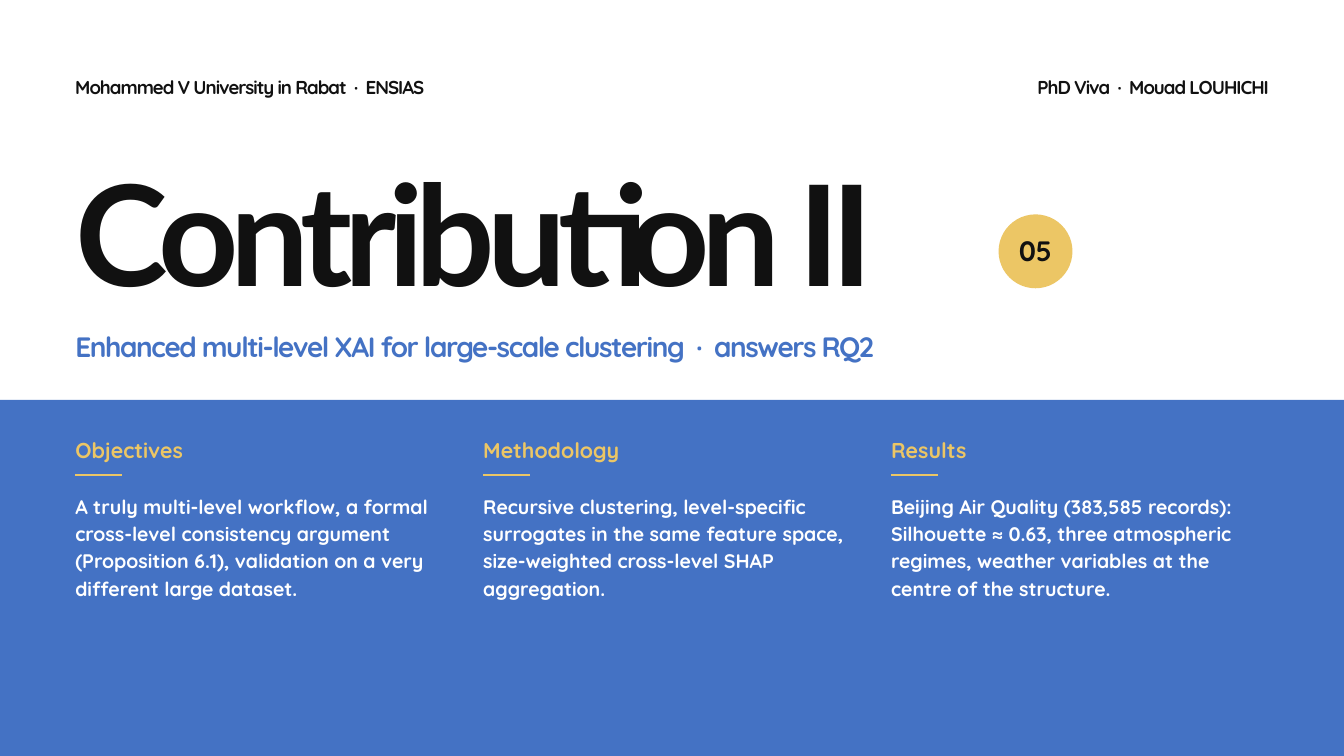
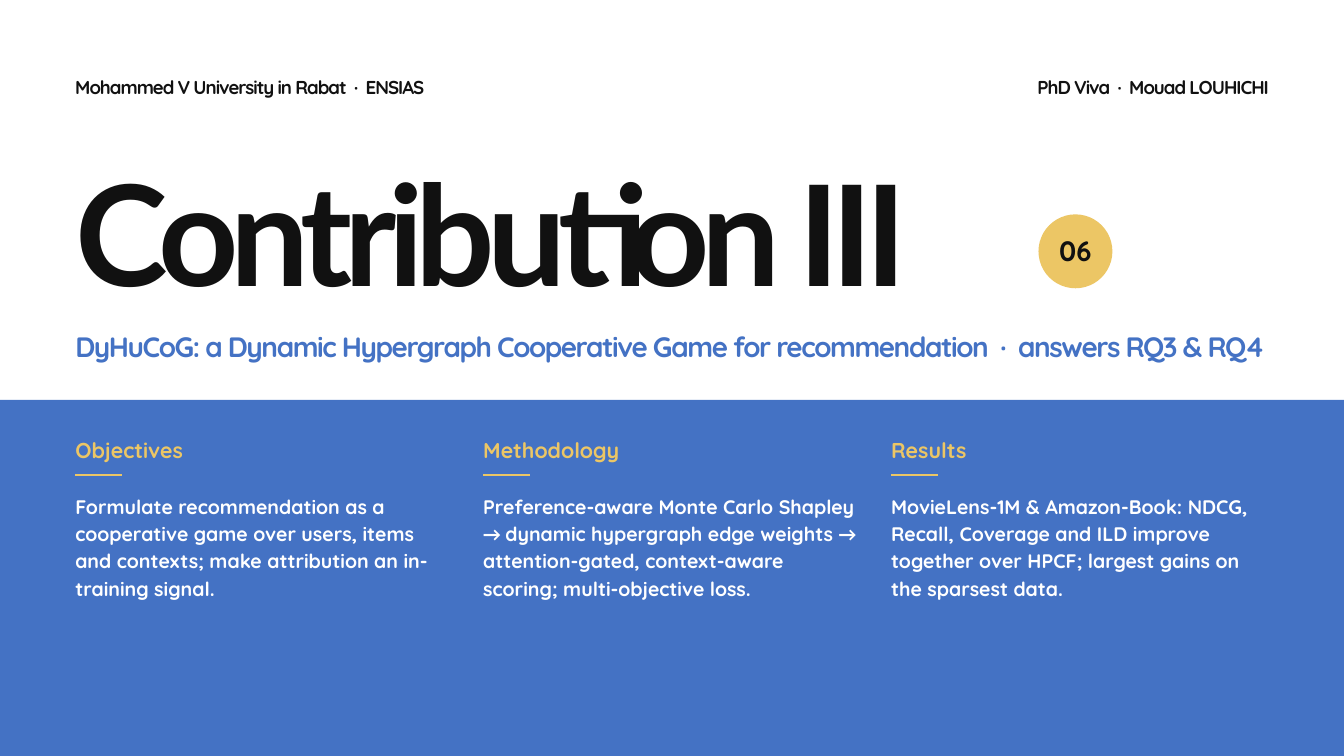
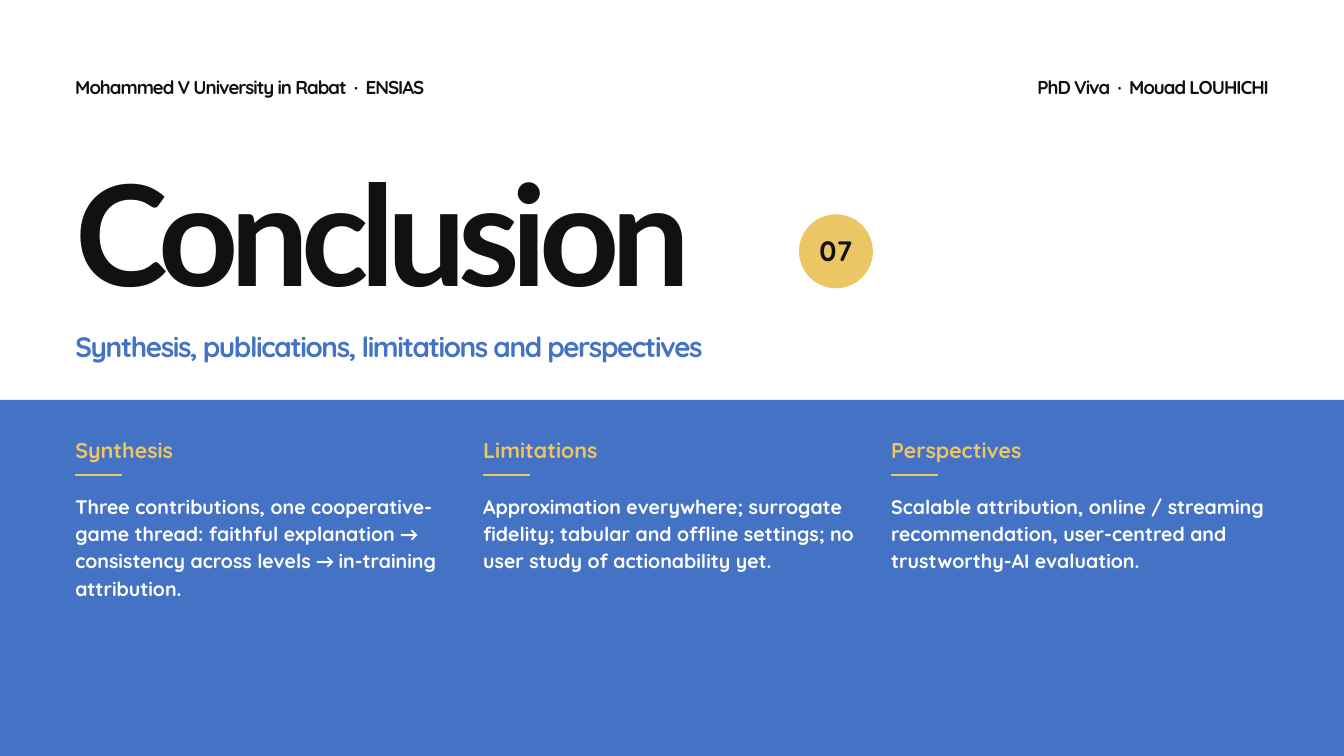
"""Build three section divider slides for a PhD viva."""
from pptx import Presentation
from pptx.dml.color import RGBColor
from pptx.enum.shapes import MSO_CONNECTOR, MSO_SHAPE
from pptx.enum.text import MSO_ANCHOR, PP_ALIGN
from pptx.oxml.ns import qn
from pptx.util import Inches, Pt
from lxml import etree

INK, BLUE, GOLD, WHITE = "111111", "4472C4", "ECC665", "FFFFFF"
BODY_FONT, TITLE_FONT, ARROW_FONT = "Quicksand", "Lato", "Calibri"
SLIDE_W, SLIDE_H = 20, 11.25
LEFT, RIGHT = 1.12, 18.88
BAND_TOP = 5.95
COLUMN_W, COLUMN_PITCH = 5.62, 6.07
ARROW = "→ "

SECTIONS = [
    ("05", "Contribution II",
     "Enhanced multi-level XAI for large-scale clustering  ·  answers RQ2",
     [("Objectives",
       "A truly multi-level workflow, a formal cross-level consistency argument "
       "(Proposition 6.1), validation on a very different large dataset."),
      ("Methodology",
       "Recursive clustering, level-specific surrogates in the same feature space, "
       "size-weighted cross-level SHAP aggregation."),
      ("Results",
       "Beijing Air Quality (383,585 records): Silhouette ≈ 0.63, three atmospheric "
       "regimes, weather variables at the centre of the structure.")]),
    ("06", "Contribution III",
     "DyHuCoG: a Dynamic Hypergraph Cooperative Game for recommendation  ·  answers RQ3 & RQ4",
     [("Objectives",
       "Formulate recommendation as a cooperative game over users, items and contexts; "
       "make attribution an in-training signal."),
      ("Methodology",
       "Preference-aware Monte Carlo Shapley → dynamic hypergraph edge weights → "
       "attention-gated, context-aware scoring; multi-objective loss."),
      ("Results",
       "MovieLens-1M & Amazon-Book: NDCG, Recall, Coverage and ILD improve together "
       "over HPCF; largest gains on the sparsest data.")]),
    ("07", "Conclusion",
     "Synthesis, publications, limitations and perspectives",
     [("Synthesis",
       "Three contributions, one cooperative-game thread: faithful explanation → "
       "consistency across levels → in-training attribution."),
      ("Limitations",
       "Approximation everywhere; surrogate fidelity; tabular and offline settings; "
       "no user study of actionability yet."),
      ("Perspectives",
       "Scalable attribution, online / streaming recommendation, user-centred and "
       "trustworthy-AI evaluation.")]),
]


def rgb(value):
    """Return the colour for a hex string."""
    return RGBColor.from_string(value)


def write_text(sp, text, size, color, leading, font=BODY_FONT, spacing=0,
               align=PP_ALIGN.LEFT, anchor=MSO_ANCHOR.TOP):
    """Fill a shape with one bold paragraph, setting arrows in their own font."""
    tf = sp.text_frame
    tf.word_wrap = True
    tf.vertical_anchor = anchor
    tf.margin_left = tf.margin_right = tf.margin_top = tf.margin_bottom = 0
    p = tf.paragraphs[0]
    p.alignment = align
    p.line_spacing = Pt(leading)
    p.font.name = font
    p.font.size = Pt(size)
    p.font.bold = True
    p.font.color.rgb = rgb(color)
    if spacing:
        p._p.pPr.find(qn("a:defRPr")).set("spc", str(round(spacing * 100)))
    for i, part in enumerate(text.split(ARROW)):
        if i:
            r = p.add_run()
            r.text = ARROW
            r.font.name = ARROW_FONT
        p.add_run().text = part


def add_text(s, x, y, w, h, text, size, color, leading, **style):
    """Add a text box."""
    sp = s.shapes.add_textbox(Inches(x), Inches(y), Inches(w), Inches(h))
    write_text(sp, text, size, color, leading, **style)


def add_block(s, kind, x, y, w, h, color):
    """Add a plain filled shape."""
    sp = s.shapes.add_shape(kind, Inches(x), Inches(y), Inches(w), Inches(h))
    sp.shadow.inherit = False
    sp.fill.solid()
    sp.fill.fore_color.rgb = rgb(color)
    sp.line.fill.background()
    return sp


def add_rule(s, x, y, w):
    """Add a short gold rule."""
    line = s.shapes.add_connector(MSO_CONNECTOR.STRAIGHT, Inches(x), Inches(y),
                                  Inches(x + w), Inches(y))
    line.line.color.rgb = rgb(GOLD)
    line.line.width = Pt(2.5)
    etree.SubElement(line._element.spPr, qn("a:effectLst"))


def add_header(s):
    """Add the university and the candidate at the top."""
    add_text(s, LEFT, 1.08, 8, 0.4, "Mohammed V University in Rabat  ·  ENSIAS",
             20, INK, 28, spacing=-1.1)
    add_text(s, RIGHT - 8, 1.08, 8, 0.4, "PhD Viva  ·  Mouad LOUHICHI",
             20, INK, 28, spacing=-1.1, align=PP_ALIGN.RIGHT)


def add_title(s, number, title, subtitle):
    """Add the title, a number badge placed by title length, and the subtitle."""
    add_text(s, LEFT, 2.55, 16.25, 2.5, title, 150, INK, 153,
             font=TITLE_FONT, spacing=-8.7)
    badge_x = BAND_TOP + 0.594 * len(title)
    badge = add_block(s, MSO_SHAPE.OVAL, badge_x, 3.19, 1.1, 1.1, GOLD)
    write_text(badge, number, 30, INK, 34, align=PP_ALIGN.CENTER,
               anchor=MSO_ANCHOR.MIDDLE)
    add_text(s, LEFT, 4.88, 17.75, 0.7, subtitle, 30, BLUE, 38, spacing=-1.5)


def add_column(s, x, heading, body):
    """Add a heading, its rule and its body text."""
    add_text(s, x, 6.5, COLUMN_W, 0.5, heading, 23, GOLD, 28)
    add_rule(s, x, 7.07, 0.7)
    add_text(s, x, 7.3, COLUMN_W, 3.4, body, 21, WHITE, 29.4)


def add_section(prs, number, title, subtitle, columns):
    """Add one section slide."""
    s = prs.slides.add_slide(prs.slide_layouts[6])
    s.background.fill.solid()
    s.background.fill.fore_color.rgb = rgb(WHITE)
    add_header(s)
    add_title(s, number, title, subtitle)
    add_block(s, MSO_SHAPE.RECTANGLE, 0, BAND_TOP, SLIDE_W, SLIDE_H - BAND_TOP, BLUE)
    for i, (heading, body) in enumerate(columns):
        add_column(s, LEFT + i * COLUMN_PITCH, heading, body)


def main():
    """Build and save the presentation."""
    prs = Presentation()
    prs.slide_width = Inches(SLIDE_W)
    prs.slide_height = Inches(SLIDE_H)
    for section in SECTIONS:
        add_section(prs, *section)
    prs.save("out.pptx")


if __name__ == "__main__":
    main()
